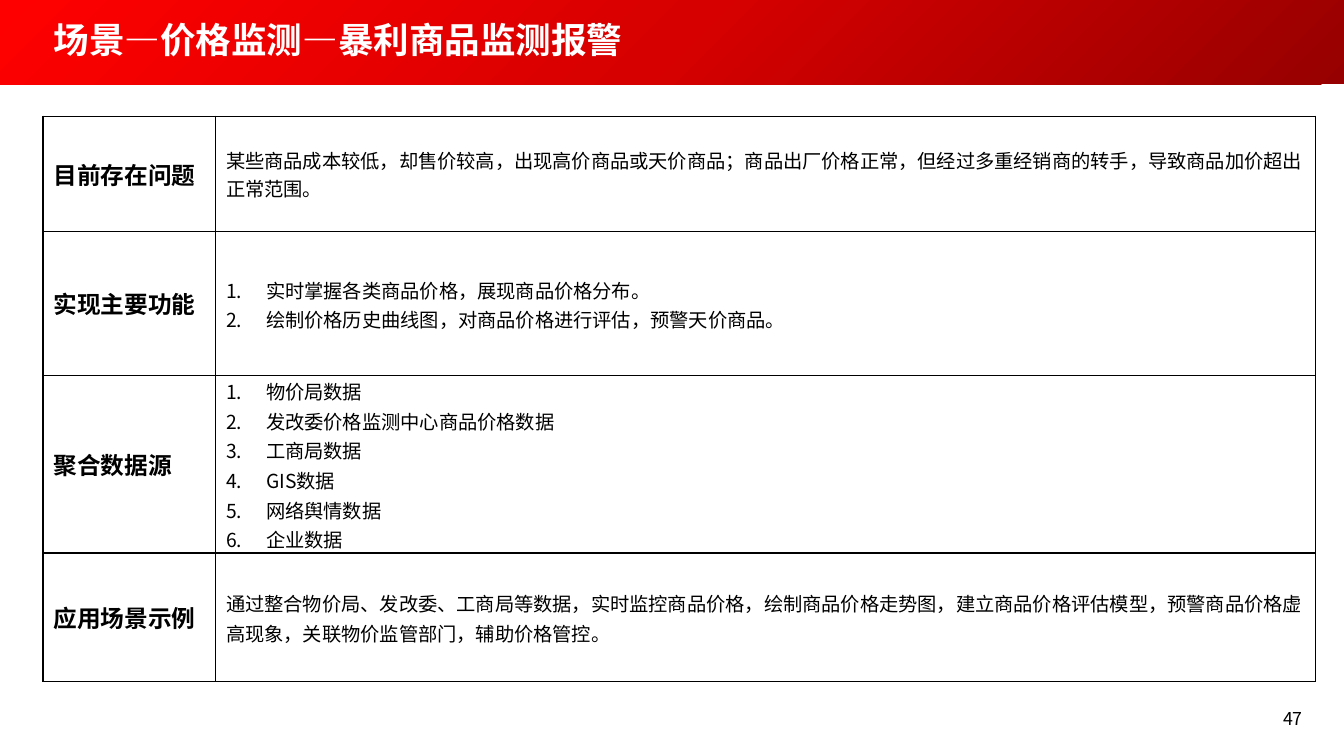
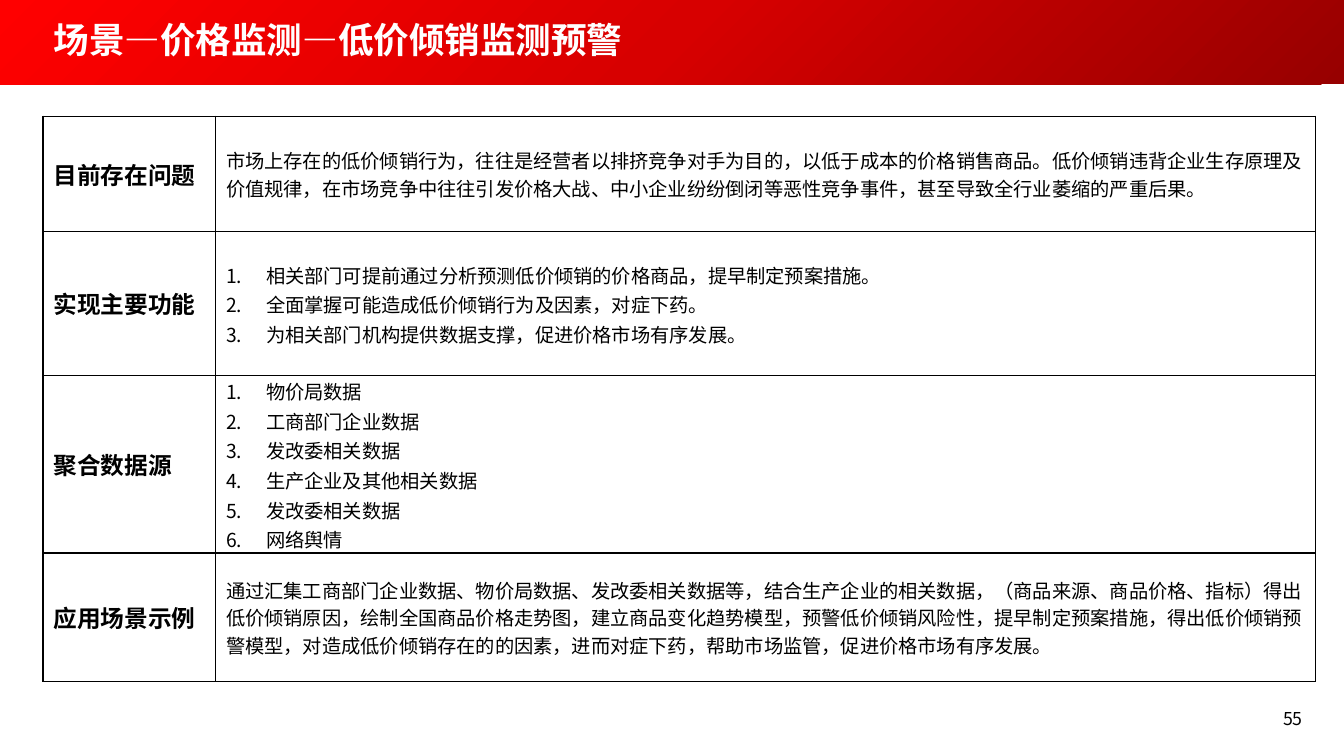
from copy import deepcopy

from pptx import Presentation
from pptx.dml.color import RGBColor
from pptx.enum.shapes import MSO_SHAPE
from pptx.enum.text import MSO_ANCHOR, MSO_AUTO_SIZE, PP_ALIGN
from pptx.oxml.ns import qn
from pptx.oxml.xmlchemy import OxmlElement
from pptx.util import Pt

COLORS = {
    "text": "000000",
    "title": "FFFFFF",
    "band_dark": "970000",
    "band_middle": "D70000",
    "band_bright": "FF0000",
}
FONT = "Noto Sans CJK SC"
PAGE_WIDTH, PAGE_HEIGHT = 907.2, 510.5
BAND_HEIGHT = 57
LEFT = 29
TABLE_TOP = 78.5
COLUMN_WIDTHS = (116.5, 742.5)
ROW_HEIGHTS = (78, 97, 120, 87)
ROW_LABELS = ("目前存在问题", "实现主要功能", "聚合数据源", "应用场景示例")
LIST_INDENT = 27
LOOSE = 1.07

# Cell content: a string is one paragraph, a list is numbered.
SCENARIOS = [
    {
        "title": "场景—价格监测—暴利商品监测报警",
        "number": "47",
        "contents": [
            "某些商品成本较低，却售价较高，出现高价商品或天价商品；商品出厂价格正常，"
            "但经过多重经销商的转手，导致商品加价超出正常范围。",
            [
                "实时掌握各类商品价格，展现商品价格分布。",
                "绘制价格历史曲线图，对商品价格进行评估，预警天价商品。",
            ],
            [
                "物价局数据",
                "发改委价格监测中心商品价格数据",
                "工商局数据",
                "GIS数据",
                "网络舆情数据",
                "企业数据",
            ],
            "通过整合物价局、发改委、工商局等数据，实时监控商品价格，绘制商品价格走势图，"
            "建立商品价格评估模型，预警商品价格虚高现象，关联物价监管部门，辅助价格管控。",
        ],
        "example_spacing": LOOSE,
    },
    {
        "title": "场景—价格监测—低价倾销监测预警",
        "number": "55",
        "contents": [
            "市场上存在的低价倾销行为，往往是经营者以排挤竞争对手为目的，"
            "以低于成本的价格销售商品。低价倾销违背企业生存原理及价值规律，"
            "在市场竞争中往往引发价格大战、中小企业纷纷倒闭等恶性竞争事件，"
            "甚至导致全行业萎缩的严重后果。",
            [
                "相关部门可提前通过分析预测低价倾销的价格商品，提早制定预案措施。",
                "全面掌握可能造成低价倾销行为及因素，对症下药。",
                "为相关部门机构提供数据支撑，促进价格市场有序发展。",
            ],
            [
                "物价局数据",
                "工商部门企业数据",
                "发改委相关数据",
                "生产企业及其他相关数据",
                "发改委相关数据",
                "网络舆情",
            ],
            "通过汇集工商部门企业数据、物价局数据、发改委相关数据等，"
            "结合生产企业的相关数据，（商品来源、商品价格、指标）得出低价倾销原因，"
            "绘制全国商品价格走势图，建立商品变化趋势模型，预警低价倾销风险性，"
            "提早制定预案措施，得出低价倾销预警模型，对造成低价倾销存在的的因素，"
            "进而对症下药，帮助市场监管，促进价格市场有序发展。",
        ],
        "example_spacing": 1.0,
    },
]


def color(name):
    return RGBColor.from_string(COLORS[name])


def add_span(para, text, size, color_name="text", bold=False):
    span = para.add_run()
    span.text = text
    span.font.size = Pt(size)
    span.font.bold = bold
    span.font.color.rgb = color(color_name)
    span.font.name = FONT
    east_asian = OxmlElement("a:ea")
    east_asian.set("typeface", FONT)
    span.font._element.append(east_asian)


def number_paragraph(para):
    properties = para._p.get_or_add_pPr()
    properties.set("marL", str(Pt(LIST_INDENT)))
    properties.set("indent", str(-Pt(LIST_INDENT)))
    numbering = OxmlElement("a:buAutoNum")
    numbering.set("type", "arabicPeriod")
    properties.append(numbering)


def add_layout_band(page):
    """Draw the gradient band and move it to the layout, behind every title."""
    band = page.shapes.add_shape(
        MSO_SHAPE.RECTANGLE, 0, 0, Pt(PAGE_WIDTH), Pt(BAND_HEIGHT)
    )
    band.shadow.inherit = False
    band.line.fill.background()
    band.fill.gradient()
    band.fill.gradient_angle = 135
    stop_list = band._element.find(".//" + qn("a:gsLst"))
    stop_list.append(deepcopy(stop_list[0]))
    names = ("band_dark", "band_middle", "band_bright")
    for index, (stop, name) in enumerate(zip(band.fill.gradient_stops, names)):
        stop.position = index / 2
        stop.color.rgb = color(name)
    page.slide_layout.shapes._spTree.insert(2, band._element)


def set_title(page, text):
    title = page.shapes.title
    title.left, title.top = Pt(LEFT), Pt(0)
    title.width, title.height = Pt(782.5), Pt(BAND_HEIGHT)
    frame = title.text_frame
    frame.auto_size = MSO_AUTO_SIZE.NONE
    frame.vertical_anchor = MSO_ANCHOR.MIDDLE
    para = frame.paragraphs[0]
    para.alignment = PP_ALIGN.LEFT
    para.line_spacing = 0.9
    add_span(para, text, 24, "title", bold=True)


def add_page_number(page, number):
    box = page.shapes.add_textbox(Pt(682), Pt(474.5), Pt(204.5), Pt(27))
    box.text_frame.word_wrap = True
    para = box.text_frame.paragraphs[0]
    para.alignment = PP_ALIGN.RIGHT
    add_span(para, number, 12)


def add_cell_borders(cell):
    properties = cell._tc.get_or_add_tcPr()
    for index, side in enumerate(("lnL", "lnR", "lnT", "lnB")):
        border = OxmlElement(f"a:{side}")
        border.set("w", str(Pt(1)))
        fill = OxmlElement("a:solidFill")
        shade = OxmlElement("a:srgbClr")
        shade.set("val", COLORS["text"])
        fill.append(shade)
        border.append(fill)
        properties.insert(index, border)


def fill_cell(cell, content, size, bold=False, spacing=1.0, tight=False):
    """Write a paragraph or a numbered list; tight drops the vertical margins."""
    cell.fill.background()
    add_cell_borders(cell)
    cell.vertical_anchor = MSO_ANCHOR.MIDDLE
    cell.margin_left = Pt(7.2)
    cell.margin_right = Pt(6 if tight else 7.2)
    cell.margin_top = cell.margin_bottom = Pt(0 if tight else 3.6)
    numbered = isinstance(content, list)
    frame = cell.text_frame
    for index, text in enumerate(content if numbered else [content]):
        para = frame.add_paragraph() if index else frame.paragraphs[0]
        if numbered:
            number_paragraph(para)
        para.line_spacing = spacing
        add_span(para, text, size, bold=bold)


def add_scenario_table(page, contents, example_spacing):
    table = page.shapes.add_table(
        len(ROW_HEIGHTS), len(COLUMN_WIDTHS), Pt(LEFT), Pt(TABLE_TOP),
        Pt(sum(COLUMN_WIDTHS)), Pt(sum(ROW_HEIGHTS)),
    ).table
    table.first_row = table.horz_banding = False
    for column, width in zip(table.columns, COLUMN_WIDTHS):
        column.width = Pt(width)
    spacings = (1.0, LOOSE, LOOSE, example_spacing)
    for index, height in enumerate(ROW_HEIGHTS):
        table.rows[index].height = Pt(height)
        fill_cell(table.cell(index, 0), ROW_LABELS[index], 16, bold=True)
        fill_cell(table.cell(index, 1), contents[index], 13,
                  spacing=spacings[index], tight=index >= 2)


def main():
    deck = Presentation()
    deck.slide_width, deck.slide_height = Pt(PAGE_WIDTH), Pt(PAGE_HEIGHT)
    title_only = deck.slide_layouts[5]
    for index, scenario in enumerate(SCENARIOS):
        page = deck.slides.add_slide(title_only)
        if index == 0:
            add_layout_band(page)
        set_title(page, scenario["title"])
        add_page_number(page, scenario["number"])
        add_scenario_table(page, scenario["contents"], scenario["example_spacing"])
    deck.save("out.pptx")


if __name__ == "__main__":
    main()
